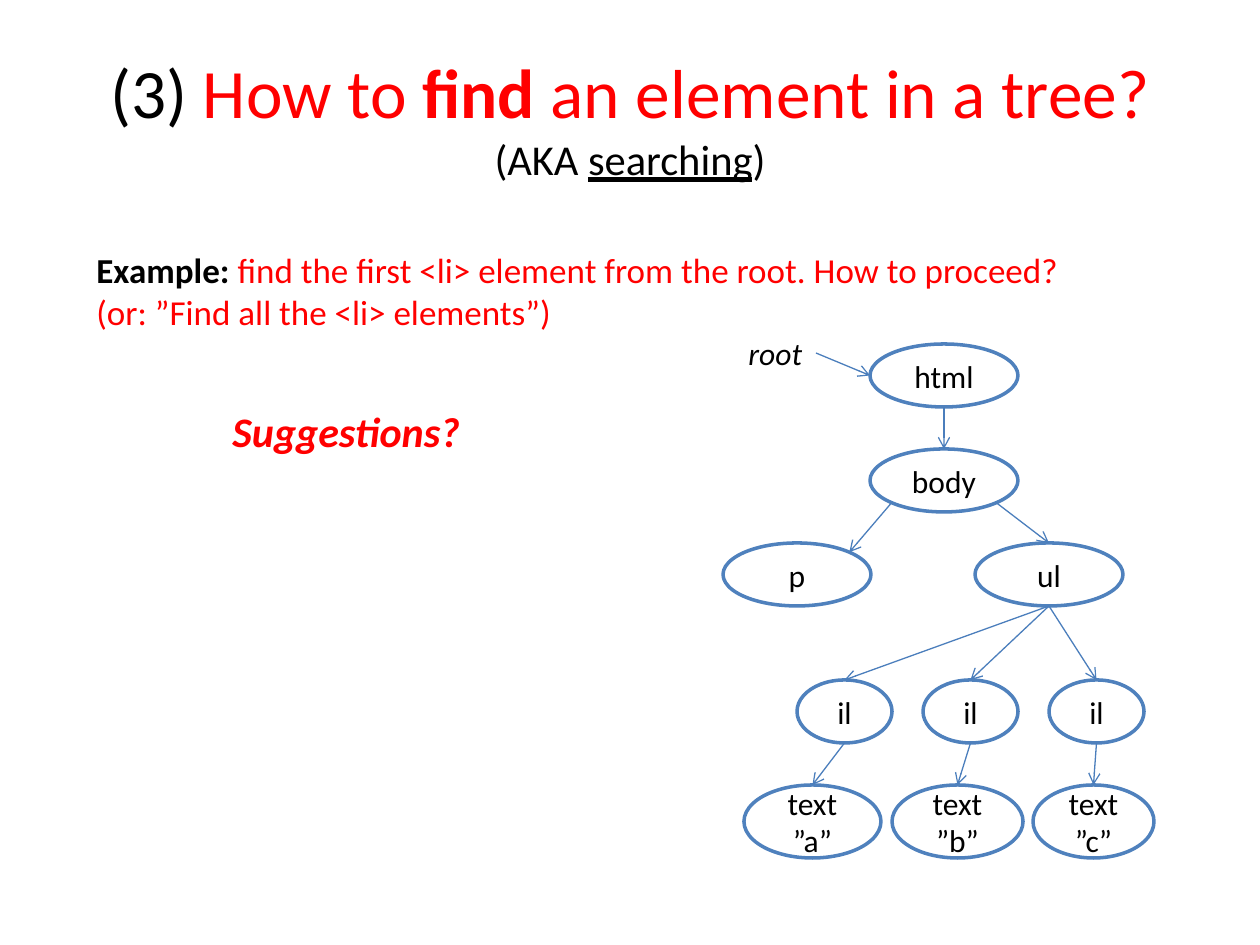
from lxml.etree import SubElement
from pptx import Presentation
from pptx.dml.color import RGBColor
from pptx.enum.shapes import MSO_CONNECTOR as Connector, MSO_SHAPE as Shape
from pptx.enum.text import MSO_ANCHOR as Anchor, PP_ALIGN as Align
from pptx.oxml.ns import qn
from pptx.util import Emu, Pt

PX_PER_INCH = 126
COLORS = {"black": "000000", "red": "FF0000", "white": "FFFFFF",
          "outline": "4F81BD", "arrow": "4B7EBC"}
SITES = {"top": (0.5, 0), "bottom": (0.5, 1), "left": (0, 0.5), "right": (1, 0.5),
         "top right": (0.854, 0.146), "bottom left": (0.146, 0.854),
         "bottom right": (0.854, 0.854)}


def px(value):
    return Emu(round(value * 914400 / PX_PER_INCH))


def color(name):
    return RGBColor.from_string(COLORS[name])


class TreeSlide:
    font_name = "Calibri"
    node_size = 18

    def __init__(self, presentation):
        self.slide = presentation.slides.add_slide(presentation.slide_layouts[6])

    def add_lines(self, frame, lines, align, soft_breaks=False):
        paragraph = frame.paragraphs[0]
        for index, line in enumerate(lines):
            if index and soft_breaks:
                paragraph.add_line_break()
            elif index:
                paragraph = frame.add_paragraph()
            paragraph.alignment = align
            for text, size, ink, style in line:
                run = paragraph.add_run()
                run.text = text
                run.font.color.rgb = color(ink)
                values = {"name": self.font_name, "size": Pt(size), **style}
                for name, value in values.items():
                    setattr(run.font, name, value)

    def text(self, box, lines, align=Align.LEFT, wrap=False, anchor=Anchor.TOP,
             soft_breaks=False):
        shape = self.slide.shapes.add_textbox(*map(px, box))
        shape.text_frame.word_wrap = wrap
        shape.text_frame.vertical_anchor = anchor
        self.add_lines(shape.text_frame, lines, align, soft_breaks)
        return shape

    def node(self, box, *words):
        shape = self.slide.shapes.add_shape(Shape.OVAL, *map(px, box))
        shape.shadow.inherit = False
        shape.fill.solid()
        shape.fill.fore_color.rgb = color("white")
        shape.line.color.rgb = color("outline")
        shape.line.width = Pt(2)
        shape.text_frame.vertical_anchor = Anchor.MIDDLE
        lines = [[(word, self.node_size, "black", {})] for word in words]
        self.add_lines(shape.text_frame, lines, Align.CENTER)
        return shape

    def arrow(self, start, start_site, end, end_site):
        points = []
        for shape, site in ((start, start_site), (end, end_site)):
            across, down = SITES[site]
            points += [Emu(round(shape.left + shape.width * across)),
                       Emu(round(shape.top + shape.height * down))]
        connector = self.slide.shapes.add_connector(Connector.STRAIGHT, *points)
        connector.line.color.rgb = color("arrow")
        connector.line.width = Pt(0.75)
        properties = connector.element.spPr
        SubElement(properties.find(qn("a:ln")), qn("a:tailEnd"), type="arrow")
        SubElement(properties, qn("a:effectLst"))


def main():
    presentation = Presentation()
    presentation.slide_width, presentation.slide_height = px(1260), px(945)
    page = TreeSlide(presentation)

    bold, italic, underline = {"bold": True}, {"italic": True}, {"underline": True}
    page.text((63, 38, 1134, 157), [
        [("(3) ", 39.6, "black", {}), ("How to ", 39.6, "red", {}),
         ("find", 39.6, "red", bold), (" an element in a tree?", 39.6, "red", {})],
        [("(AKA ", 24.3, "black", {}), ("searching", 24.3, "black", underline),
         (")", 24.3, "black", {})],
    ], Align.CENTER, wrap=True, anchor=Anchor.MIDDLE, soft_breaks=True)
    page.text((84, 242, 1013, 140), [
        [("Example: ", 20, "black", bold),
         ("find the first <li> element from the root. How to proceed?", 20, "red", {})],
        [("(or: ”Find all the <li> elements”)", 20, "red", {})],
    ])
    page.text((220, 399, 256, 63), [[("Suggestions?", 24, "red", {**bold, **italic})]])
    root = page.text((736, 328, 80, 50), [[("root", 18, "black", italic)]])

    html = page.node((870, 344, 148, 63), "html")
    body = page.node((870, 449, 148, 63), "body")
    p = page.node((723, 543, 148, 63), "p")
    ul = page.node((975, 543, 148, 63), "ul")

    page.arrow(root, "right", html, "left")
    page.arrow(html, "bottom", body, "top")
    page.arrow(body, "bottom left", p, "top right")
    page.arrow(body, "bottom right", ul, "top")

    leaves = (("a", 744, 137), ("b", 892, 131), ("c", 1033, 121))
    for index, (letter, left, width) in enumerate(leaves):
        item = page.node((797 + 126 * index, 680, 95, 63), "il")
        leaf = page.node((left, 785, width, 73), "text", f"”{letter}”")
        page.arrow(ul, "bottom", item, "top")
        page.arrow(item, "bottom", leaf, "top")

    presentation.save("out.pptx")


if __name__ == "__main__":
    main()
